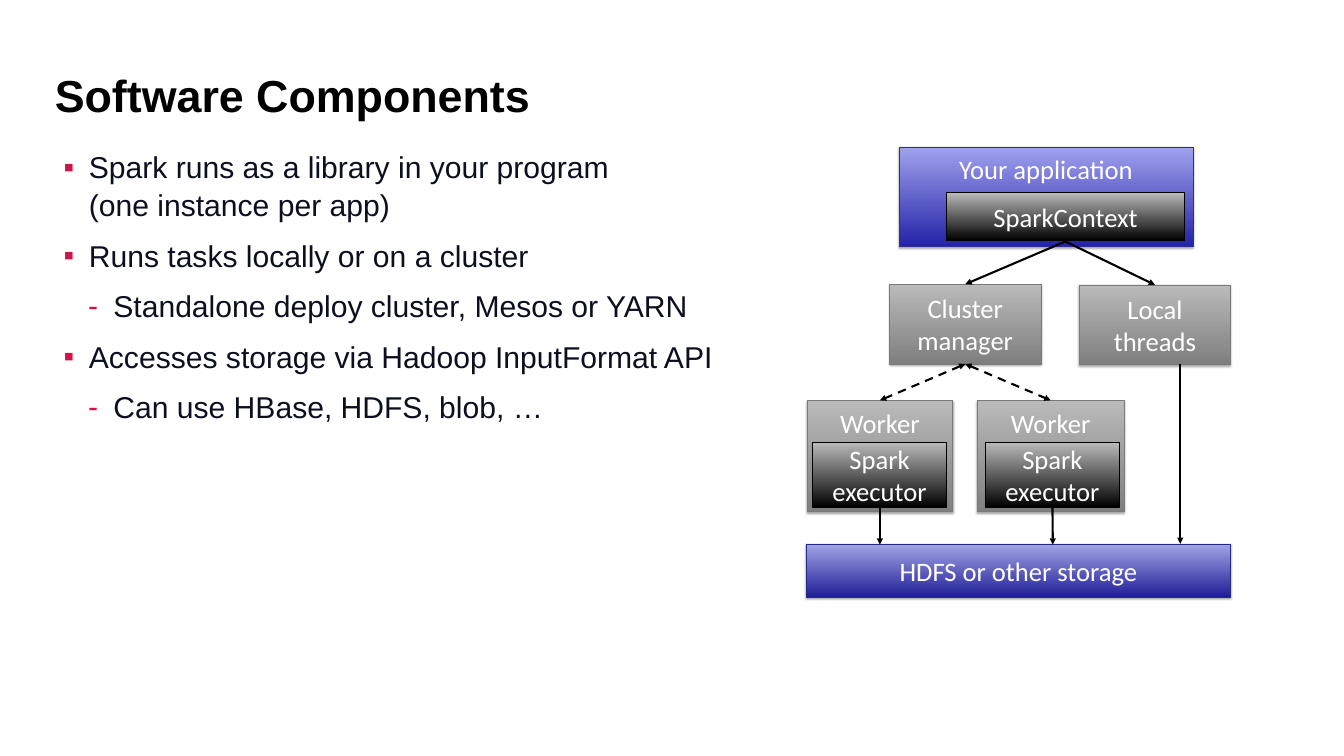
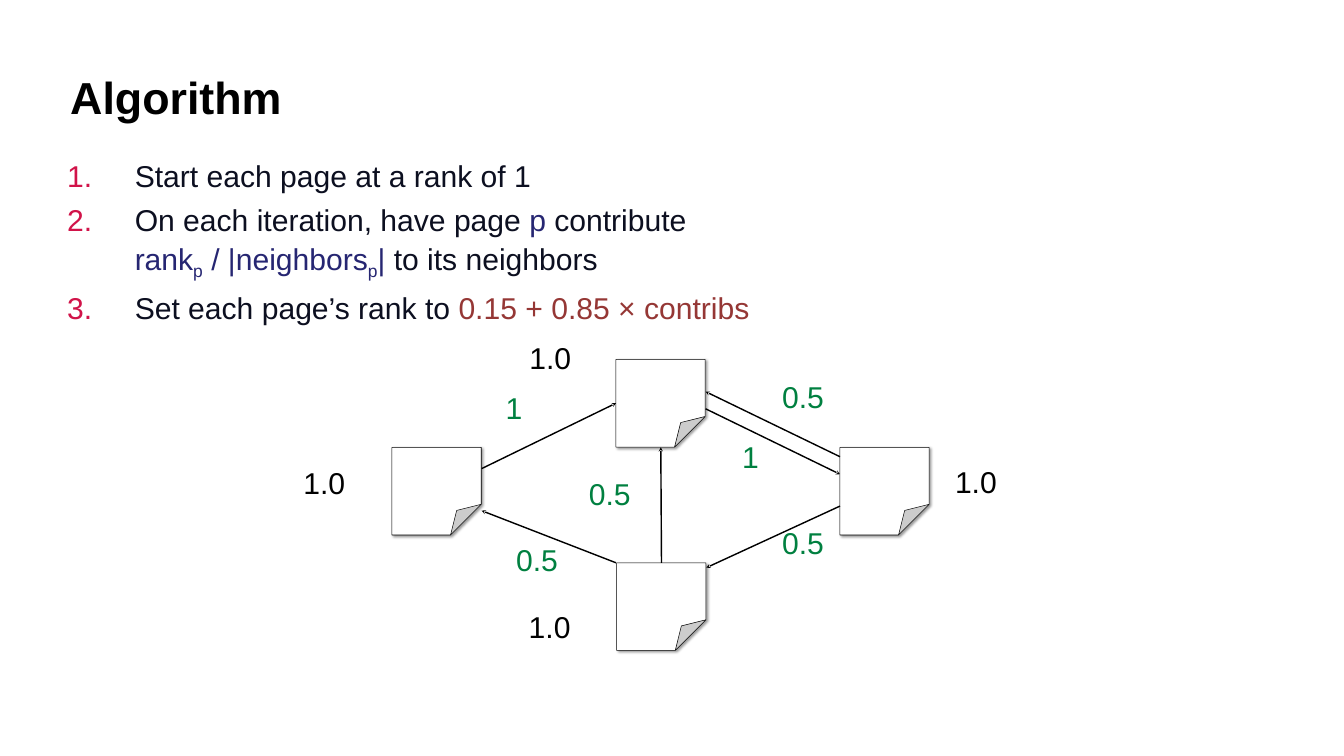
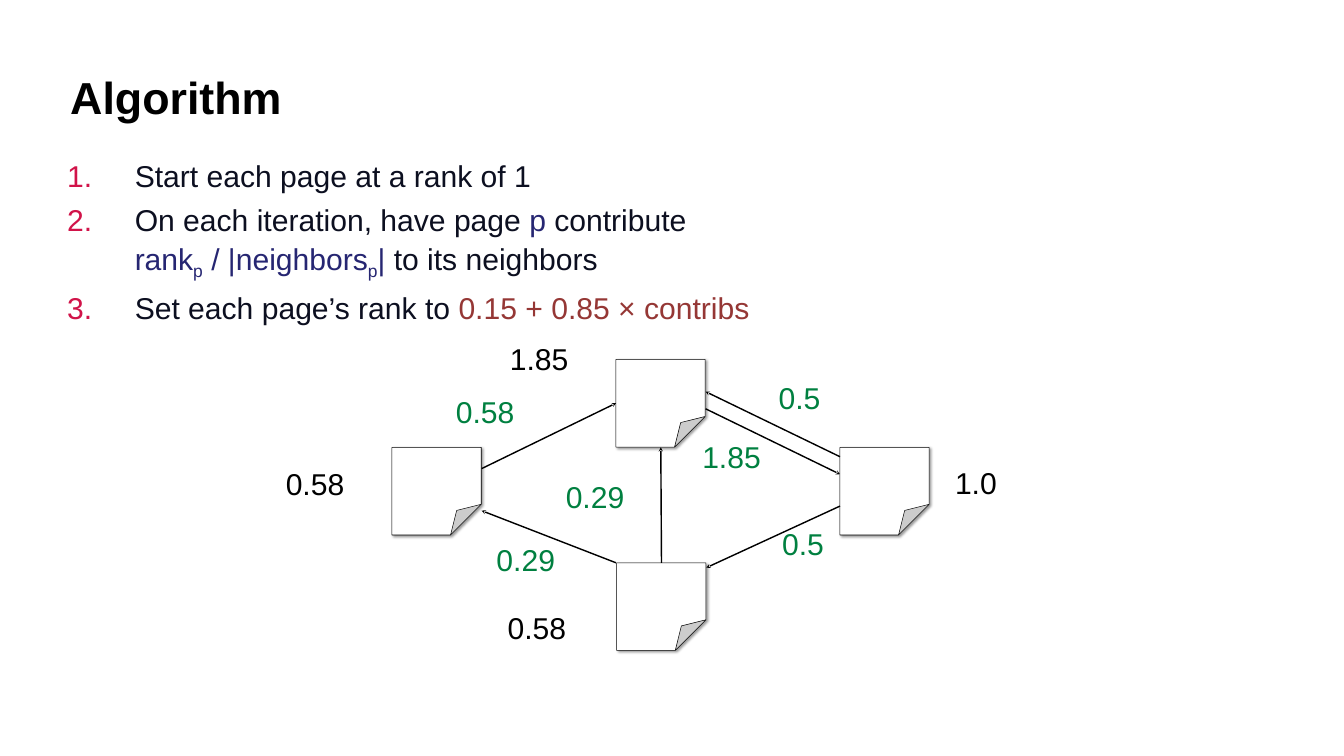
from lxml.etree import SubElement
from pptx import Presentation
from pptx.dml.color import RGBColor
from pptx.enum.dml import MSO_LINE
from pptx.enum.shapes import MSO_CONNECTOR, MSO_SHAPE
from pptx.enum.text import MSO_ANCHOR, MSO_AUTO_SIZE, PP_ALIGN
from pptx.oxml.ns import qn
from pptx.util import Pt

SLIDE_SIZE = (1920, 1080)
BLACK, WHITE, INK, CRIMSON = "000000", "FFFFFF", "0C0F20", "D11349"
NAVY, BRICK, GREEN = "262672", "953735", "008040"
TITLE_SIZE, BODY_SIZE, BOX_SIZE = 64, 43, 38
BOX_INSETS = (17.28, 8.64)

# Box looks: gradient bottom, gradient top, outline, has a shadow
APP_LOOK = ("2323A8", "A1A1EE", "2E2E97", True)
STORAGE_LOOK = ("1F1F97", "A4A4E6", "282888", True)
GREY_LOOK = ("7F7F7F", "BABABA", "797979", True)
BLACK_LOOK = (BLACK, "BABABA", BLACK, False)

# Shadows: opacity %, blur, distance, direction in degrees
BOX_SHADOW = (35, 3.1, 1.8, 90)
PAGE_SHADOW = (40, 4, 3, 45)

# List styles: level, left margin, hanging indent, space before, marker (None counts)
POINT = (0, 61, 36, 18, "▪")
SUBPOINT = (1, 96, 36, 18, "-")
STEP = (0, 96.5, 96.5, 9.5, None)

# List items: style, then runs of text, colour, subscript
COMPONENTS = {
    "title": ("Software Components", (74, 73, 1763, 125)),
    "body_place": (66, 210, 996, 677),
    "items": [
        (POINT, [("Spark runs as a library in your program\n(one instance per app)", INK, False)]),
        (POINT, [("Runs tasks locally or on a cluster", INK, False)]),
        (SUBPOINT, [("Standalone deploy cluster, Mesos or YARN", INK, False)]),
        (POINT, [("Accesses storage via Hadoop InputFormat API", INK, False)]),
        (SUBPOINT, [("Can use HBase, HDFS, blob, …", INK, False)]),
    ],
}
ALGORITHM = {
    "title": ("Algorithm", (96, 48, 1728, 180)),
    "body_place": (96, 222, 1728, 315),
    "items": [
        (STEP, [("Start each page at a rank of 1", INK, False)]),
        (STEP, [("On each iteration, have page ", INK, False), ("p", NAVY, False),
                (" contribute\n", INK, False), ("rank", NAVY, False), ("p", NAVY, True),
                (" / |neighbors", NAVY, False), ("p", NAVY, True), ("|", NAVY, False),
                (" to its neighbors", INK, False)]),
        (STEP, [("Set each page’s rank to ", INK, False),
                ("0.15 + 0.85 × contribs", BRICK, False)]),
    ],
}

# Boxes: text, place, look, anchor, side inset
TOP, MIDDLE = MSO_ANCHOR.TOP, MSO_ANCHOR.MIDDLE
SIDE = BOX_INSETS[0]
OUTER_BOXES = [
    ("Your application", (1284, 210, 420.5, 142.5), APP_LOOK, TOP, SIDE),
    ("SparkContext", (1352, 275, 340.5, 69), BLACK_LOOK, MIDDLE, SIDE),
    ("Local threads", (1542, 407, 216, 114), GREY_LOOK, MIDDLE, SIDE),
    ("Cluster manager", (1271, 406, 216, 114), GREY_LOOK, MIDDLE, SIDE),
    ("Worker", (1153, 572, 208, 159), GREY_LOOK, TOP, 0),
    ("Worker", (1396, 572, 210, 159), GREY_LOOK, TOP, 0),
    ("HDFS or other storage", (1152, 777, 606, 76), STORAGE_LOOK, MIDDLE, SIDE),
]
EXECUTORS = [("Spark executor", (left, 632, 191, 93), BLACK_LOOK, MIDDLE, SIDE)
             for left in (1161, 1408)]

CONTEXT_EXIT, MANAGER_EXIT = (1522, 345), (1379, 520)
CALLS = [
    (CONTEXT_EXIT, (1379, 406)),
    (CONTEXT_EXIT, (1650, 407)),
    ((1257, 720), (1257, 778)),
    ((1503.5, 720), (1504, 778)),
    ((1686, 520.5), (1686, 777)),
]
EXCHANGES = [(MANAGER_EXIT, (1257, 572)), (MANAGER_EXIT, (1501, 572))]

PAGE_SIZE = (127.5, 125.3)
PAGE_FOLD = 35
PAGES = [(560, 639), (880, 513.5), (1200, 639), (881, 804)]
PAGE_LINKS = [
    ((880, 804), (688, 729.5)),
    ((945, 804), (944, 639)),
    ((688, 669.5), (880, 576)),
    ((1200, 652.5), (1008, 559.5)),
    ((1008, 584), (1200, 677.5)),
    ((1200, 723), (1009, 811)),
]

# One entry per iteration: ranks and contributions as text, left, top
ITERATIONS = [
    {"ranks": [("1.0", 416, 655), ("1.0", 1347, 654), ("1.0", 739, 476), ("1.0", 738, 861)],
     "contribs": [("1", 705, 548), ("0.5", 720, 765), ("0.5", 824, 670),
                  ("0.5", 1100, 532), ("1", 1043, 617), ("0.5", 1100, 741)]},
    {"ranks": [("0.58", 391, 656), ("1.0", 1347, 654.5), ("1.85", 711, 477), ("0.58", 708, 862)],
     "contribs": [("0.58", 634, 553), ("0.29", 692, 765), ("0.29", 791, 675),
                  ("0.5", 1095, 533), ("1.85", 986, 617), ("0.5", 1100, 742)]},
]


def color(hex_code):
    return RGBColor.from_string(hex_code)


def points(*lengths):
    return [Pt(length) for length in lengths]


def set_insets(frame, side, edge):
    frame.margin_left = frame.margin_right = Pt(side)
    frame.margin_top = frame.margin_bottom = Pt(edge)


def place_placeholder(placeholder, place, inset):
    placeholder.left, placeholder.top, placeholder.width, placeholder.height = points(*place)
    frame = placeholder.text_frame
    frame.word_wrap = True
    frame.auto_size = MSO_AUTO_SIZE.NONE
    set_insets(frame, inset, inset)
    return frame


def add_run(paragraph, text, size, hex_code, font="Arial", bold=False, subscript=False):
    run = paragraph.add_run()
    run.text = text
    run.font.name, run.font.size, run.font.bold = font, Pt(size), bold
    run.font.color.rgb = color(hex_code)
    if subscript:
        run.font._element.set("baseline", "-25000")


def add_marker(paragraph, margin, hanging, marker):
    """Give the paragraph a bullet, or a running number when marker is None."""
    properties = paragraph._p.get_or_add_pPr()
    properties.set("marL", str(Pt(margin)))
    properties.set("indent", str(-Pt(hanging)))
    marker_color = SubElement(properties, qn("a:buClr"))
    SubElement(marker_color, qn("a:srgbClr"), val=CRIMSON)
    SubElement(properties, qn("a:buFont"), typeface="Arial")
    if marker:
        SubElement(properties, qn("a:buChar"), char=marker)
    else:
        SubElement(properties, qn("a:buAutoNum"), type="arabicPeriod")


def add_item(paragraph, style, runs, is_first):
    level, margin, hanging, space_before, marker = style
    add_marker(paragraph, margin, hanging, marker)
    paragraph.level = level
    paragraph.alignment = PP_ALIGN.LEFT
    paragraph.line_spacing = 1.05
    paragraph.space_before = Pt(0 if is_first else space_before)
    for text, hex_code, subscript in runs:
        for number, line in enumerate(text.split("\n")):
            if number:
                paragraph.add_line_break()
            if line:
                add_run(paragraph, line, BODY_SIZE, hex_code, subscript=subscript)


def add_slide(deck, content):
    slide = deck.slides.add_slide(deck.slide_layouts[1])
    title, title_place = content["title"]
    heading = place_placeholder(slide.shapes.title, title_place, 4.32)
    heading.vertical_anchor = MIDDLE
    heading.paragraphs[0].alignment = PP_ALIGN.LEFT
    add_run(heading.paragraphs[0], title, TITLE_SIZE, BLACK, bold=True)

    body = place_placeholder(slide.placeholders[1], content["body_place"], 0)
    body.vertical_anchor = TOP
    for number, (style, runs) in enumerate(content["items"]):
        paragraph = body.add_paragraph() if number else body.paragraphs[0]
        add_item(paragraph, style, runs, number == 0)
    return slide


def add_shadow(shape, opacity, blur, distance, direction):
    effects = shape._element.spPr.find(qn("a:effectLst"))
    shadow = SubElement(effects, qn("a:outerShdw"), blurRad=str(Pt(blur)),
                        dist=str(Pt(distance)), dir=str(direction * 60000), rotWithShape="0")
    shade = SubElement(shadow, qn("a:srgbClr"), val=BLACK)
    SubElement(shade, qn("a:alpha"), val=str(opacity * 1000))


def add_outlined(slide, kind, place, outline):
    shape = slide.shapes.add_shape(kind, *points(*place))
    shape.shadow.inherit = False
    shape.line.color.rgb = color(outline)
    shape.line.width = Pt(0.75)
    return shape


def add_box(slide, text, place, look, anchor, side):
    bottom, top, outline, has_shadow = look
    box = add_outlined(slide, MSO_SHAPE.RECTANGLE, place, outline)
    box.fill.gradient()
    box.fill.gradient_angle = 90
    for stop, hex_code in zip(box.fill.gradient_stops, (bottom, top)):
        stop.color.rgb = color(hex_code)
    if has_shadow:
        add_shadow(box, *BOX_SHADOW)
    frame = box.text_frame
    frame.word_wrap = True
    frame.vertical_anchor = anchor
    set_insets(frame, side, BOX_INSETS[1])
    frame.paragraphs[0].alignment = PP_ALIGN.CENTER
    add_run(frame.paragraphs[0], text, BOX_SIZE, WHITE, "Calibri")


def add_page(slide, corner):
    page = add_outlined(slide, MSO_SHAPE.FOLDED_CORNER, (*corner, *PAGE_SIZE), BLACK)
    guides = page._element.spPr.find(qn("a:prstGeom")).get_or_add_avLst()
    for guide in list(guides):
        guides.remove(guide)
    SubElement(guides, qn("a:gd"), name="adj", fmla=f"val {PAGE_FOLD * 1000}")
    page.fill.solid()
    page.fill.fore_color.rgb = color(WHITE)
    add_shadow(page, *PAGE_SHADOW)


def add_arrow(slide, start, end, width, head, two_way=False):
    """Draw an arrow to end; a two-way arrow is dashed."""
    arrow = slide.shapes.add_connector(MSO_CONNECTOR.STRAIGHT, *points(*start, *end))
    arrow.line.color.rgb = color(BLACK)
    arrow.line.width = Pt(width)
    if two_way:
        arrow.line.dash_style = MSO_LINE.DASH
    properties = arrow._element.spPr
    line = properties.find(qn("a:ln"))
    for tip in ("a:headEnd", "a:tailEnd") if two_way else ("a:tailEnd",):
        SubElement(line, qn(tip), type=head)
    SubElement(properties, qn("a:effectLst"))


def add_label(slide, text, left, top, hex_code):
    width = 35 + sum(12 if letter == "." else 24 for letter in text)
    frame = slide.shapes.add_textbox(*points(left, top, width, 69)).text_frame
    frame.word_wrap = True
    set_insets(frame, *BOX_INSETS)
    add_run(frame.paragraphs[0], text, BODY_SIZE, hex_code)


def build_components(deck):
    slide = add_slide(deck, COMPONENTS)
    for box in OUTER_BOXES:
        add_box(slide, *box)
    for start, end in CALLS:
        add_arrow(slide, start, end, 3, "triangle")
    for start, end in EXCHANGES:
        add_arrow(slide, start, end, 3, "triangle", two_way=True)
    for executor in EXECUTORS:
        add_box(slide, *executor)


def build_iteration(deck, iteration):
    slide = add_slide(deck, ALGORITHM)
    for corner in PAGES:
        add_page(slide, corner)
    for start, end in PAGE_LINKS:
        add_arrow(slide, start, end, 2, "stealth")
    for group, hex_code in (("ranks", BLACK), ("contribs", GREEN)):
        for label in iteration[group]:
            add_label(slide, *label, hex_code)


def main():
    deck = Presentation()
    deck.slide_width, deck.slide_height = points(*SLIDE_SIZE)
    build_components(deck)
    for iteration in ITERATIONS:
        build_iteration(deck, iteration)
    deck.save("out.pptx")


if __name__ == "__main__":
    main()
